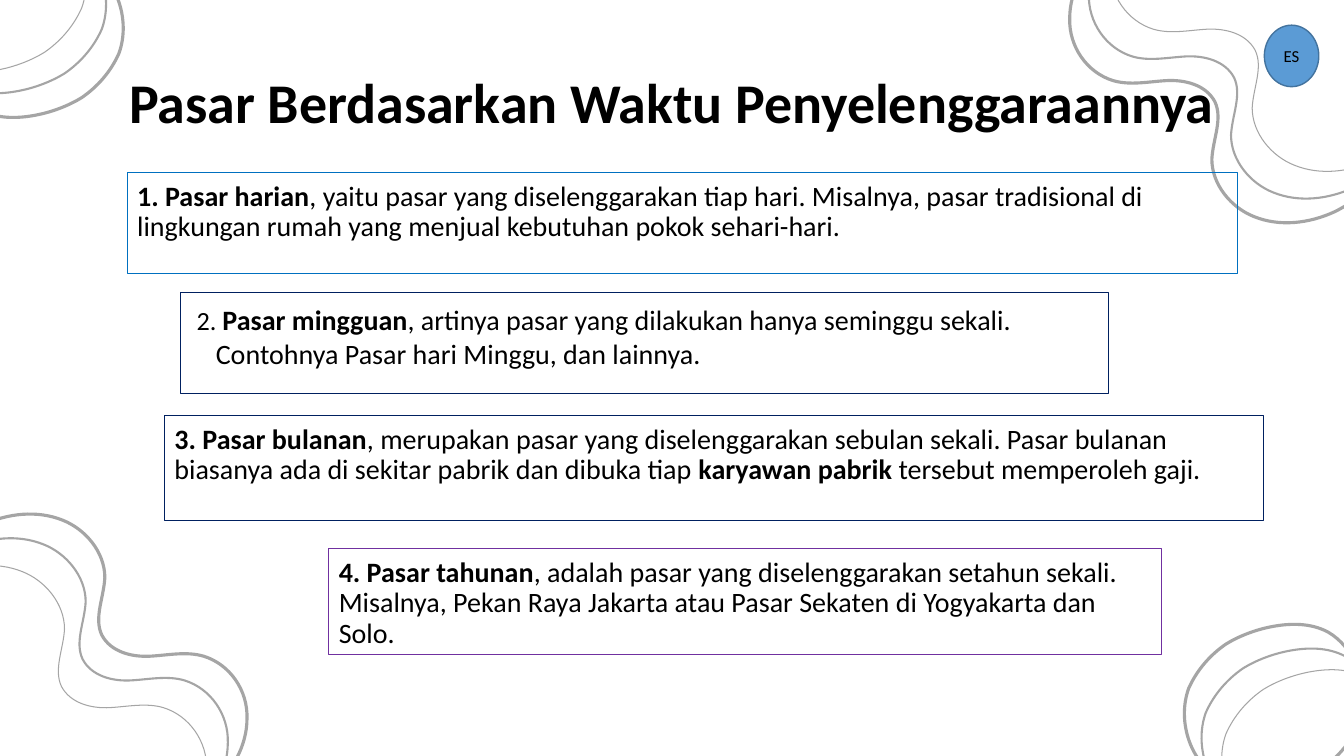
"""Build the slide on markets grouped by when they are held."""
from lxml import etree
from pptx import Presentation
from pptx.dml.color import RGBColor
from pptx.enum.shapes import MSO_SHAPE
from pptx.enum.text import MSO_ANCHOR, MSO_AUTO_SIZE, PP_ALIGN
from pptx.oxml.ns import qn
from pptx.util import Inches, Pt

OVAL = MSO_SHAPE.OVAL
TOP, MIDDLE = MSO_ANCHOR.TOP, MSO_ANCHOR.MIDDLE
LEFT, CENTER = PP_ALIGN.LEFT, PP_ALIGN.CENTER
NO_FIT = MSO_AUTO_SIZE.NONE

BLACK = RGBColor(0x00, 0x00, 0x00)
GRAY = RGBColor(0xA5, 0xA5, 0xA5)
NAVY = RGBColor(0x00, 0x20, 0x60)
BLUE = RGBColor(0x00, 0x70, 0xC0)
PURPLE = RGBColor(0x70, 0x30, 0xA0)
BADGE_FILL = RGBColor(0x5B, 0x9B, 0xD5)
BADGE_LINE = RGBColor(0x43, 0x73, 0x9E)

LINE_WIDTHS = (2.25, 1.5, 0.75)

WAVE = [
    (-0.18, 5.21), (-0.38, 5.31), (-0.56, 5.46), (-0.72, 5.62),
    (-0.78, 5.67), (-0.84, 5.73), (-0.92, 5.77),
    (-1.06, 5.84), (-1.12, 5.79), (-1.24, 5.84),
    (-1.35, 5.9), (-1.42, 6.02), (-1.44, 6.16),
    (-1.48, 6.43), (-1.32, 6.71), (-1.07, 6.81),
    (-0.82, 7), (-0.69, 7.31), (-0.54, 7.59),
    (-0.4, 7.89), (-0.22, 8.2), (0.06, 8.35),
    (0.26, 8.47), (0.5, 8.48), (0.73, 8.45),
    (0.97, 8.42), (1.18, 8.33), (1.39, 8.24),
    (1.65, 8.14), (1.9, 8.02), (2.1, 7.83),
    (2.3, 7.66), (2.45, 7.4), (2.45, 7.13),
    (2.46, 6.85), (2.28, 6.59), (2.02, 6.51),
    (1.85, 6.46), (1.67, 6.5), (1.49, 6.51),
    (1.31, 6.52), (1.1, 6.47), (1.01, 6.3),
    (0.93, 6.13), (1.03, 5.93), (1.04, 5.73),
    (1.04, 5.48), (0.85, 5.25), (0.62, 5.16),
    (0.37, 5.06), (0.08, 5.09), (-0.18, 5.21),
]
PEBBLE = [
    (-0.14, -0.26), (-0.34, -0.13), (-0.48, 0.06), (-0.53, 0.29),
    (-0.6, 0.59), (-0.46, 0.94), (-0.2, 1.09),
    (-0.03, 1.18), (0.17, 1.18), (0.37, 1.14),
    (0.52, 1.11), (0.68, 1.05), (0.81, 0.97),
    (0.97, 0.86), (1.1, 0.71), (1.18, 0.53),
    (1.3, 0.2), (1.16, -0.23), (0.84, -0.38),
    (0.84, -0.38), (1, -0.34), (1, -0.34),
    (0.71, -0.45), (0.37, -0.48), (0.09, -0.37),
    (0.01, -0.34), (-0.07, -0.3), (-0.14, -0.26),
]
WAVE_OFFSETS = [(0, 0), (-0.19, 0.24), (-0.4, 0.51)]
PEBBLE_OFFSETS = [(0, 0), (-0.17, -0.24), (-0.37, -0.45)]


def round_off(curve):
    lines = list(curve._element.iter(qn("a:lnTo")))
    for first in range(0, len(lines) - 2, 3):
        bend = etree.Element(qn("a:cubicBezTo"))
        lines[first].addprevious(bend)
        for line in lines[first:first + 3]:
            bend.append(line[0])
            line.getparent().remove(line)


def add_span(para, text, size, bold):
    span = para.add_run()
    span.text = text
    span.font.name = "Calibri"
    span.font.size = Pt(size)
    span.font.bold = bold
    span.font.color.rgb = BLACK


deck = Presentation()
deck.slide_width = Inches(13.33)
deck.slide_height = Inches(7.5)
page = deck.slides.add_slide(deck.slide_layouts.get_by_name("Comparison"))

title = page.shapes.title
title.left, title.top = Inches(1.05), Inches(0.65)
title.width, title.height = Inches(11.22), Inches(0.84)
title.text_frame.vertical_anchor = TOP
title.text_frame.auto_size = NO_FIT
title.text_frame.margin_top = title.text_frame.margin_bottom = Inches(0.1)
para = title.text_frame.paragraphs[0]
para.alignment = CENTER
para.line_spacing = 0.9
add_span(para, "Pasar Berdasarkan Waktu Penyelenggaraannya", 40, True)

CORNERS = [
    (WAVE, WAVE_OFFSETS, 1, (0, 0)),
    (WAVE, WAVE_OFFSETS, -1, (13.06, 7.31)),
    (PEBBLE, PEBBLE_OFFSETS, 1, (0, 0)),
    (PEBBLE, PEBBLE_OFFSETS, -1, (12.97, 7.36)),
]
for points, offsets, turn, (base_x, base_y) in CORNERS:
    for (shift_x, shift_y), width in zip(offsets, LINE_WIDTHS):
        outline = [(Inches(base_x + turn * (x + shift_x)), Inches(base_y + turn * (y + shift_y)))
                   for x, y in points]
        builder = page.shapes.build_freeform(*outline[0])
        builder.add_line_segments(outline[1:], close=True)
        curve = builder.convert_to_shape()
        round_off(curve)
        curve.shadow.inherit = False
        curve.fill.background()
        curve.line.color.rgb = GRAY
        curve.line.width = Pt(width)
        title._element.addprevious(curve._element)

MARKETS = [
    (1.26, 1.71, 11.01, 1, BLUE, 0.9, 0, 0, [
        ("1. Pasar harian", 20, True),
        (", yaitu pasar yang diselenggarakan tiap hari. Misalnya, pasar tradisional di "
         "lingkungan rumah yang menjual kebutuhan pokok sehari-hari.", 20, False)]),
    (1.79, 2.9, 9.2, 1, NAVY, 1, 0.25, -0.19, [
        ("2. ", 18.7, False),
        ("Pasar mingguan", 20, True),
        (", artinya pasar yang dilakukan hanya seminggu sekali. "
         "Contohnya Pasar hari Minggu, dan lainnya.", 20, False)]),
    (1.63, 4.12, 10.9, 1.04, NAVY, 0.9, 0, 0, [
        ("3. Pasar bulanan", 20, True),
        (", merupakan pasar yang diselenggarakan sebulan sekali. Pasar bulanan "
         "biasanya ada di sekitar pabrik dan dibuka tiap ", 20, False),
        ("karyawan pabrik ", 20, True),
        ("tersebut memperoleh gaji.", 20, False)]),
    (3.26, 5.44, 8.26, 1.05, PURPLE, 0.9, 0, 0, [
        ("4. Pasar tahunan", 20, True),
        (", adalah pasar yang diselenggarakan setahun sekali. Misalnya, Pekan Raya "
         "Jakarta atau Pasar Sekaten di Yogyakarta dan Solo.", 20, False)]),
]
boxes = [box for box in page.placeholders if box.placeholder_format.idx > 0]
for box, market in zip(boxes, MARKETS):
    left, top, width, height, color, spacing, margin, indent, spans = market
    box.left, box.top = Inches(left), Inches(top)
    box.width, box.height = Inches(width), Inches(height)
    box.line.color.rgb = color
    box.line.width = Pt(0.75)
    frame = box.text_frame
    frame.vertical_anchor = TOP
    frame.auto_size = NO_FIT
    frame.margin_top = frame.margin_bottom = Inches(0.1)
    para = frame.paragraphs[0]
    properties = para._p.get_or_add_pPr()
    properties.set("marL", str(Inches(margin)))
    properties.set("indent", str(Inches(indent)))
    etree.SubElement(properties, qn("a:buNone"))
    para.alignment = LEFT
    para.line_spacing = spacing
    para.space_before = Pt(0)
    for text, size, bold in spans:
        add_span(para, text, size, bold)

badge = page.shapes.add_shape(OVAL, Inches(12.54), Inches(0.25), Inches(0.54), Inches(0.61))
badge.shadow.inherit = False
badge.fill.solid()
badge.fill.fore_color.rgb = BADGE_FILL
badge.line.color.rgb = BADGE_LINE
badge.line.width = Pt(1)
badge.text_frame.vertical_anchor = MIDDLE
badge.text_frame.margin_left = badge.text_frame.margin_right = 0
para = badge.text_frame.paragraphs[0]
para.alignment = CENTER
add_span(para, "ES", 12, False)

deck.save("out.pptx")
